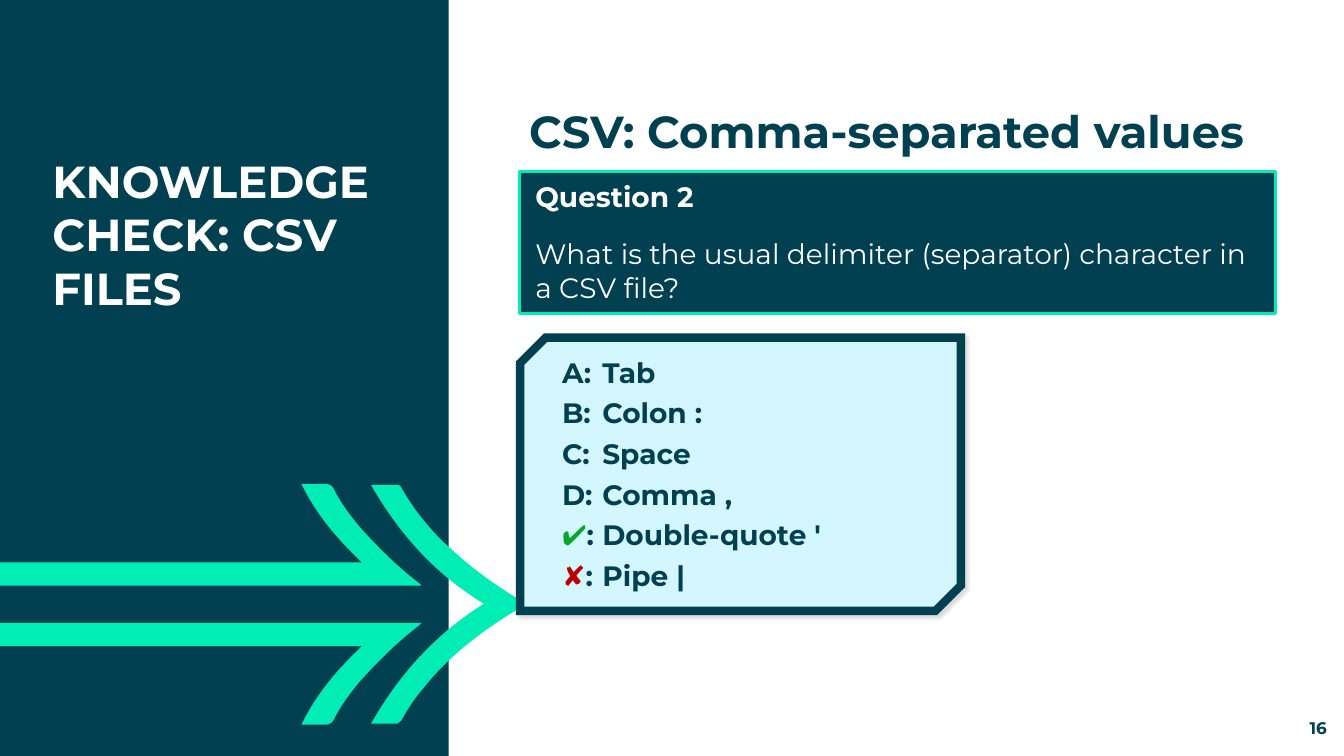
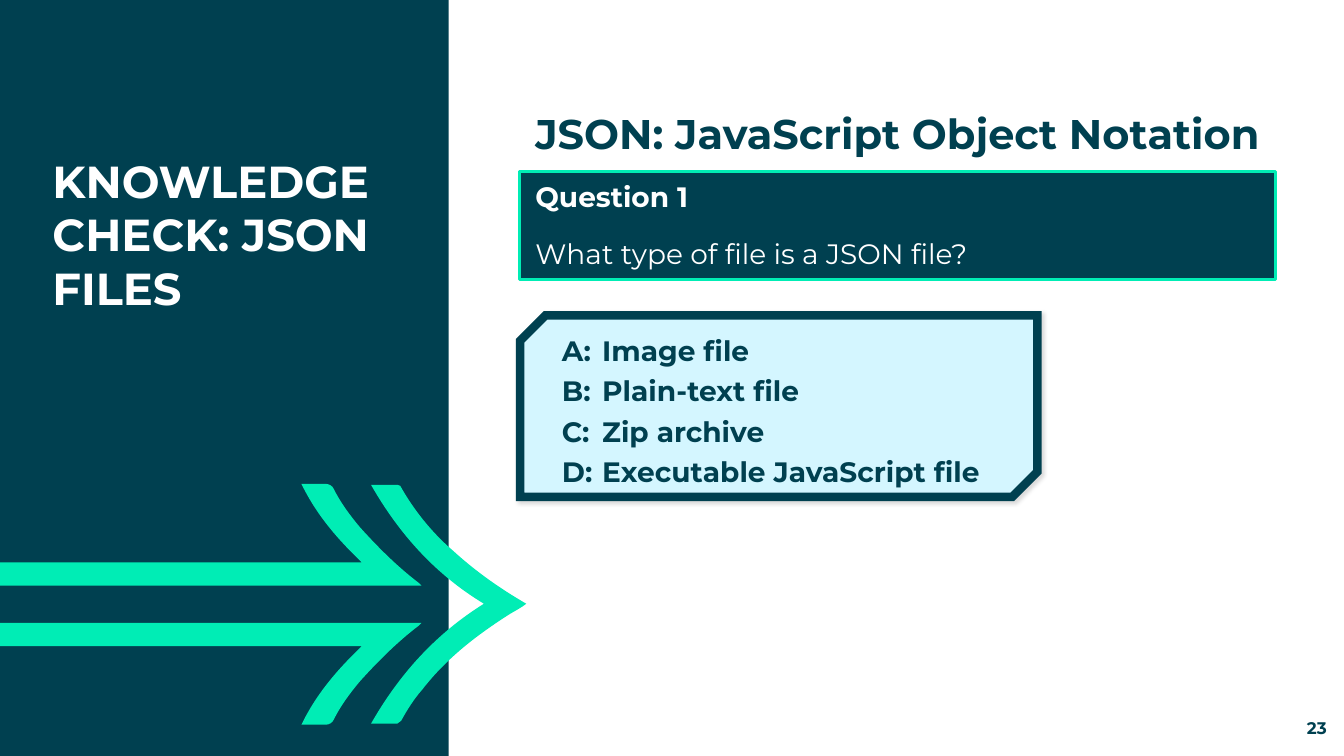
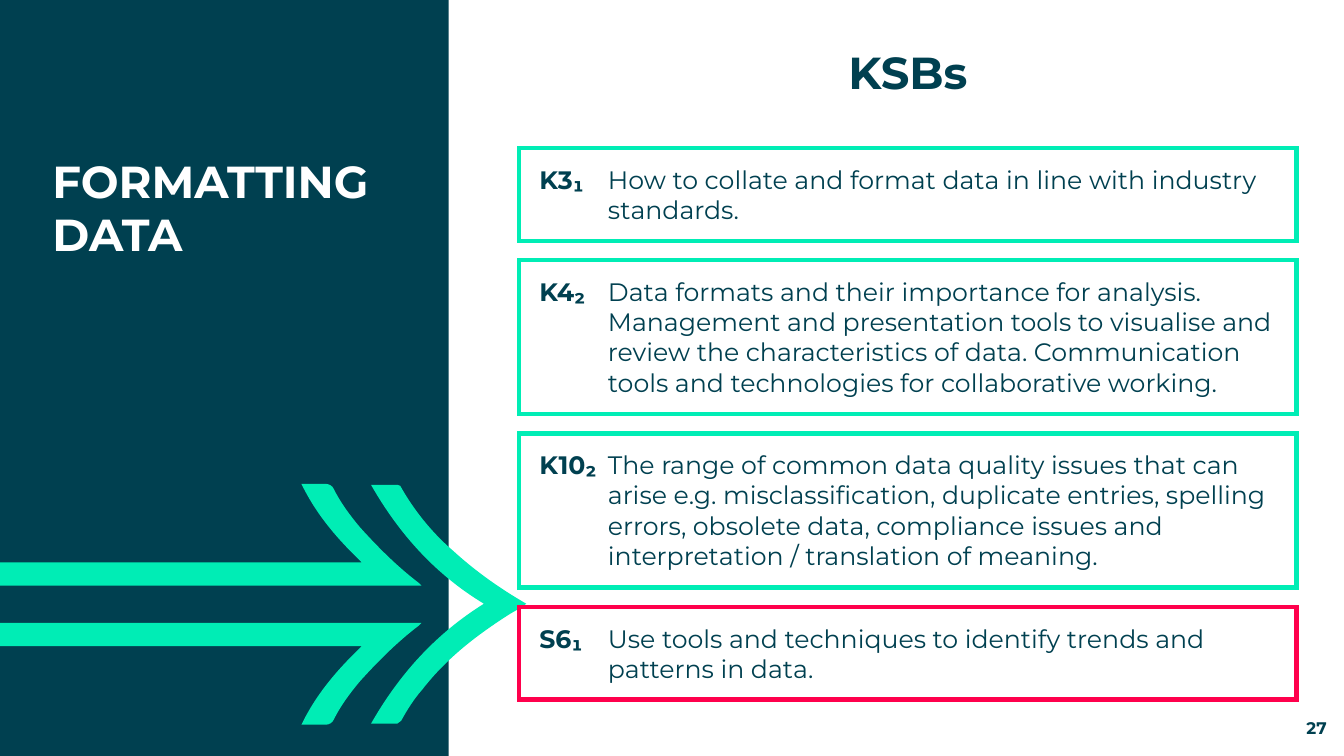
from lxml import etree
from pptx import Presentation
from pptx.dml.color import RGBColor
from pptx.enum.shapes import MSO_SHAPE
from pptx.enum.text import MSO_ANCHOR, MSO_AUTO_SIZE, PP_ALIGN
from pptx.oxml.ns import qn
from pptx.util import Inches, Pt

RECTANGLE = MSO_SHAPE.RECTANGLE
SNIPPED = MSO_SHAPE.SNIP_2_DIAG_RECTANGLE
TOP, MIDDLE, BOTTOM = MSO_ANCHOR.TOP, MSO_ANCHOR.MIDDLE, MSO_ANCHOR.BOTTOM
LEFT, CENTER, RIGHT = PP_ALIGN.LEFT, PP_ALIGN.CENTER, PP_ALIGN.RIGHT
NO_AUTOFIT = MSO_AUTO_SIZE.NONE

FONT = "Montserrat"
TEAL, MINT, PALE, WHITE = "004050", "00EDB5", "D4F6FF", "FFFFFF"
RED, TICK_GREEN, CROSS_RED = "FF004C", "09A727", "BC0000"

CONTENT_LEFT, CONTENT_WIDTH = 5.15, 7.71
ANSWERS_LEFT = 5.16
DEFAULT_INSETS = (0.1, 0.05, 0.1, 0.05)
ARROW_TOP, ARROW_BOTTOM = 4.81, 7.18

# Outlines: a start point, then steps of one point (line) or three (Bézier curve).
SHAFT = [
    [(4.18, 5.81)], [(-0.62, 5.81)], [(-0.62, 5.58)], [(3.59, 5.58)],
    [(3.35, 5.35), (3.14, 5.11), (2.99, 4.8)],
    [(3.23, 4.8)],
    [(3.26, 4.8), (3.3, 4.82), (3.31, 4.85)],
    [(3.38, 4.99), (3.47, 5.11), (3.57, 5.23)],
    [(3.75, 5.43), (3.94, 5.62), (4.15, 5.78)],
]
HEAD = [
    [(4.8, 5.99)],
    [(4.32, 5.7), (3.96, 5.3), (3.68, 4.81)],
    [(3.94, 4.81)], [(3.97, 4.82)],
    [(4.11, 5.07), (4.29, 5.29), (4.5, 5.47)],
    [(4.72, 5.67), (4.96, 5.84), (5.22, 5.99)],
    [(5.17, 6.03), (5.11, 6.06), (5.06, 6.09)],
    [(4.73, 6.3), (4.43, 6.53), (4.19, 6.84)],
    [(4.11, 6.93), (4.04, 7.04), (3.98, 7.15)],
    [(3.94, 7.18)], [(3.68, 7.18)],
    [(3.96, 6.69), (4.32, 6.29), (4.8, 5.99)],
]


def color(hex_code):
    return RGBColor.from_string(hex_code)


def mirror(outline):
    """Reflect an outline across the arrow's horizontal axis."""
    return [[(x, ARROW_TOP + ARROW_BOTTOM - y) for x, y in step] for step in outline]


def add_outline(slide, outline, fill):
    """Build a freeform, then join each three-point step into one curve."""
    start, *points = [(Inches(x), Inches(y)) for step in outline for x, y in step]
    builder = slide.shapes.build_freeform(*start)
    builder.add_line_segments(points, close=True)
    shape = builder.convert_to_shape()
    segments = iter(list(shape.element.spPr.iter(qn("a:lnTo"))))
    for step in outline[1:]:
        first, *others = [next(segments) for _ in step]
        if others:
            first.tag = qn("a:cubicBezTo")
        for segment in others:
            first.append(segment[0])
            segment.getparent().remove(segment)
    shape.shadow.inherit = False
    shape.fill.solid()
    shape.fill.fore_color.rgb = color(fill)
    shape.line.fill.background()
    return shape


def add_box(slide, area, fill, line=None, weight=0, preset=RECTANGLE):
    box = slide.shapes.add_shape(preset, *map(Inches, area))
    box.shadow.inherit = False
    box.fill.solid()
    box.fill.fore_color.rgb = color(fill)
    if not line:
        box.line.fill.background()
        return box
    box.line.color.rgb = color(line)
    box.line.width = Pt(weight)
    if weight >= 3:
        border = box.element.spPr.find(qn("a:ln"))
        etree.SubElement(border, qn("a:miter"), lim="800000")
    return box


def add_soft_shadow(shape):
    effects = shape.element.spPr.find(qn("a:effectLst"))
    shadow = etree.SubElement(
        effects, qn("a:outerShdw"), blurRad=str(Pt(3)), dist=str(Pt(2)),
        dir="2700000", algn="tl", rotWithShape="0")
    shade = etree.SubElement(shadow, qn("a:srgbClr"), val="000000")
    etree.SubElement(shade, qn("a:alpha"), val="15000")


def write(shape, paragraphs, size, align=LEFT, anchor=TOP, insets=DEFAULT_INSETS,
          hang=None, space_after=0, line_height=None):
    """Fill a shape with paragraphs, each a list of (text, colour, bold) runs.

    hang is (left margin, first-line indent) in inches.
    """
    frame = shape.text_frame
    frame.word_wrap = True
    frame.auto_size = NO_AUTOFIT
    frame.vertical_anchor = anchor
    (frame.margin_left, frame.margin_top,
     frame.margin_right, frame.margin_bottom) = map(Inches, insets)
    for i, runs in enumerate(paragraphs):
        paragraph = frame.add_paragraph() if i else frame.paragraphs[0]
        paragraph.alignment = align
        paragraph.space_after = Pt(space_after)
        if line_height:
            paragraph.line_spacing = Pt(line_height)
        if hang:
            properties = paragraph._p.get_or_add_pPr()
            properties.set("marL", str(Inches(hang[0])))
            properties.set("indent", str(Inches(hang[1])))
        for text, ink, bold in runs:
            run = paragraph.add_run()
            run.text = text
            run.font.name = FONT
            run.font.size = Pt(size)
            run.font.bold = bold
            run.font.color.rgb = color(ink)


def add_text(slide, area, text, size, **style):
    label = slide.shapes.add_textbox(*map(Inches, area))
    write(label, [[(text, TEAL, True)]], size, **style)


def move_side_panel_to_layout(slide):
    """Draw the dark panel and its arrow, then hand them to the slide's layout."""
    parts = [add_box(slide, (0, 0, 4.45, 7.5), TEAL)]
    parts += [add_outline(slide, outline, MINT)
              for outline in (SHAFT, HEAD, mirror(SHAFT))]
    first_placeholder = slide.slide_layout.placeholders[0].element
    for number, part in enumerate(parts, start=101):
        part.element.nvSpPr.cNvPr.set("id", str(number))
        first_placeholder.addprevious(part.element)


def add_slide(deck, title, page):
    slide = deck.slides.add_slide(deck.slide_layouts[5])
    heading = slide.shapes.title
    heading.left, heading.top, heading.width, heading.height = map(
        Inches, (0.42, 1.47, 3.77, 3.01))
    write(heading, [[(title, WHITE, True)]], 32)
    add_text(slide, (12.3, 7.12, 0.86, 0.2), page, 12,
             align=RIGHT, anchor=BOTTOM, insets=(0, 0, 0, 0))
    return slide


def add_heading(slide, text, left=CONTENT_LEFT, top=0.69, size=32, align=CENTER):
    add_text(slide, (left, top, CONTENT_WIDTH, 1.16), text, size,
             align=align, anchor=MIDDLE, line_height=42)


def add_question(slide, number, question, height):
    box = add_box(slide, (CONTENT_LEFT, 1.7, 7.5, height), TEAL, MINT, 2.25)
    write(box, [[(f"Question {number}", WHITE, True)], [(question, WHITE, False)]],
          20, insets=(0.16, 0.08, 0.16, 0.08), space_after=16.7)


def add_answers(slide, area, snip, answers):
    """Add the snipped card; answers are (mark, mark colour, text)."""
    card = add_box(slide, area, PALE, TEAL, 6, SNIPPED)
    card.adjustments[0], card.adjustments[1] = snip, 0
    add_soft_shadow(card)
    lines = [[(mark, ink, True), (f":\t{text}", TEAL, True)]
             for mark, ink, text in answers]
    write(card, lines, 20, hang=(0.59, -0.4), space_after=5)


def add_ksb_cards(slide, cards, top=1.47, gap=0.19):
    """Stack cards given as (code, text, height, border colour)."""
    for code, text, height, border in cards:
        card = add_box(slide, (CONTENT_LEFT, top, CONTENT_WIDTH, height),
                       WHITE, border, 3)
        write(card, [[(f"{code}\t", TEAL, True), (text, TEAL, False)]], 18,
              insets=(0.2, 0.16, 0.16, 0.16), hang=(0.68, -0.68))
        top += height + gap


def main():
    deck = Presentation()
    deck.slide_width, deck.slide_height = Inches(13.33), Inches(7.5)

    csv = add_slide(deck, "KNOWLEDGE CHECK: CSV FILES", "16")
    move_side_panel_to_layout(csv)
    add_heading(csv, "CSV: Comma-separated values", align=LEFT)
    add_question(csv, 2, "What is the usual delimiter (separator) character in "
                 "a CSV file?", 1.41)
    add_answers(csv, (ANSWERS_LEFT, 3.35, 4.37, 2.71), 0.093, [
        ("A", TEAL, "Tab"),
        ("B", TEAL, "Colon :"),
        ("C", TEAL, "Space"),
        ("D", TEAL, "Comma ,"),
        ("✔", TICK_GREEN, "Double-quote '"),
        ("✘", CROSS_RED, "Pipe |"),
    ])

    json = add_slide(deck, "KNOWLEDGE CHECK: JSON FILES", "23")
    add_heading(json, "JSON: JavaScript Object Notation", left=5.05, size=29.6)
    add_question(json, 1, "What type of file is a JSON file?", 1.07)
    add_answers(json, (ANSWERS_LEFT, 3.13, 5.13, 1.8), 0.139, [
        ("A", TEAL, "Image file"),
        ("B", TEAL, "Plain-text file"),
        ("C", TEAL, "Zip archive"),
        ("D", TEAL, "Executable JavaScript file"),
    ])

    formatting = add_slide(deck, "FORMATTING DATA", "27")
    add_heading(formatting, "KSBs", top=0.11)
    add_ksb_cards(formatting, [
        ("K3₁", "How to collate and format data in line with industry standards.",
         0.92, MINT),
        ("K4₂", "Data formats and their importance for analysis. Management and "
         "presentation tools to visualise and review the characteristics of data. "
         "Communication tools and technologies for collaborative working.",
         1.53, MINT),
        ("K10₂", "The range of common data quality issues that can arise e.g. "
         "misclassification, duplicate entries, spelling errors, obsolete data, "
         "compliance issues and interpretation / translation of meaning.",
         1.53, MINT),
        ("S6₁", "Use tools and techniques to identify trends and patterns in data.",
         0.92, RED),
    ])

    deck.save("out.pptx")


if __name__ == "__main__":
    main()
